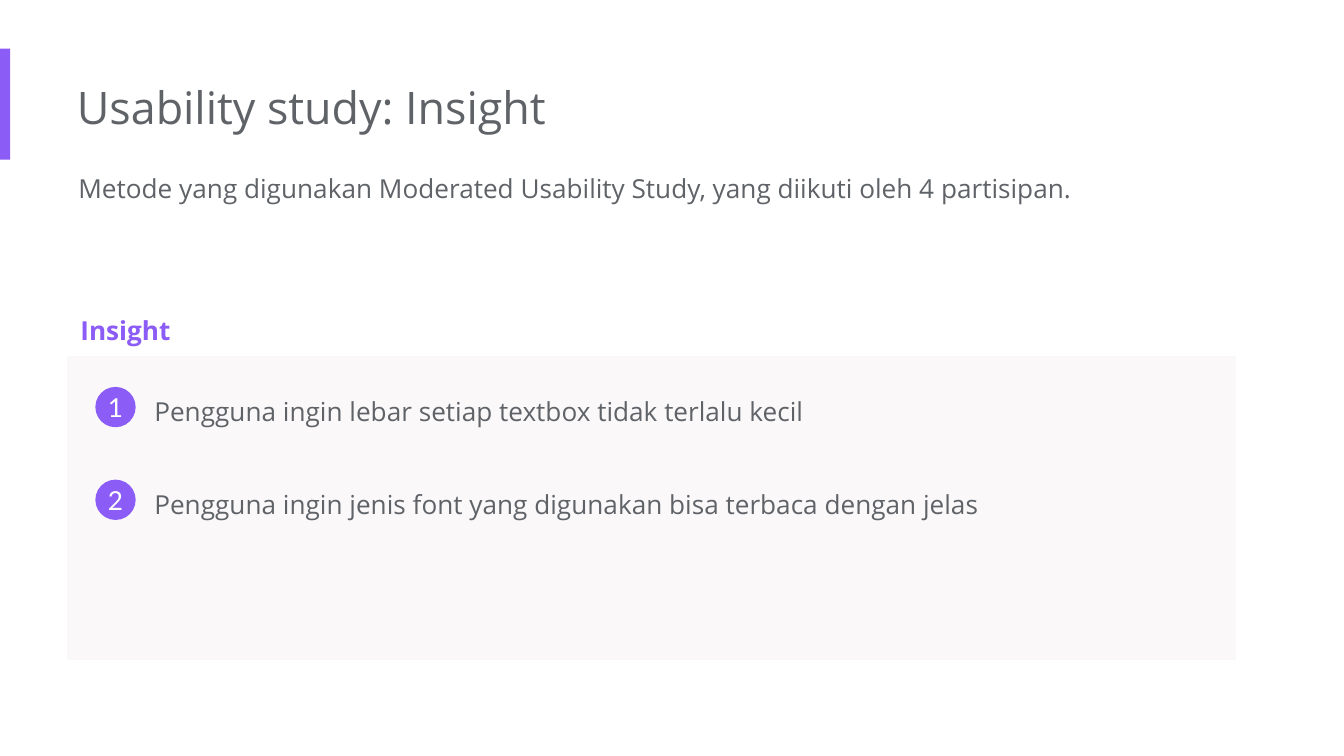
import pptx
import pptx.util
import pptx.dml.color
import pptx.enum.shapes
import pptx.enum.text

Pt = pptx.util.Pt
Kind = pptx.enum.shapes.MSO_SHAPE
VIOLET, GREY, PALE, WHITE = "8B5CF6", "5F6368", "FAF8F9", "FFFFFF"


def paint(fill, color):
    fill.solid()
    fill.fore_color.rgb = pptx.dml.color.RGBColor.from_string(color)


def write(shape, text, size, color, font="Open Sans", bold=False, pad=7.2, left=7.2):
    """Put one styled run in the shape; pad is the inset on the other sides."""
    frame = shape.text_frame
    frame.word_wrap = True
    frame.margin_left = Pt(left)
    frame.margin_top = frame.margin_right = frame.margin_bottom = Pt(pad)
    para = frame.paragraphs[0]
    run = para.add_run()
    run.text = text
    run.font.name = font
    run.font.size = Pt(size)
    run.font.bold = bold
    paint(run.font.fill, color)
    return para


deck = pptx.Presentation()
deck.slide_width, deck.slide_height = Pt(720), Pt(405)
slide = deck.slides.add_slide(deck.slide_layouts[6])
paint(slide.background.fill, WHITE)
shapes = slide.shapes

# Accent bar and insight panel
for left, top, width, height, color in [
    (0, 26, 5.5, 59.5, VIOLET),
    (36, 190.8, 626, 162.7, PALE),
]:
    block = shapes.add_shape(Kind.RECTANGLE, Pt(left), Pt(top), Pt(width), Pt(height))
    block.shadow.inherit = False
    paint(block.fill, color)
    block.line.fill.background()

# Heading, method and label
title = shapes.add_textbox(Pt(41.2), Pt(35.3), Pt(484.5), Pt(44))
write(title, "Usability study: Insight", 24, GREY, left=0)

method = shapes.add_textbox(Pt(42), Pt(82.8), Pt(620), Pt(53.3))
write(
    method,
    "Metode yang digunakan Moderated Usability Study, yang diikuti oleh 4 partisipan.",
    14, GREY, left=0,
).line_spacing = 1.15

label = shapes.add_textbox(Pt(36), Pt(159), Pt(263), Pt(31.7))
write(label, "Insight", 14, VIOLET, bold=True).line_spacing = 1.15

# Numbered insights
notes = [
    "Pengguna ingin lebar setiap textbox tidak terlalu kecil",
    "Pengguna ingin jenis font yang digunakan bisa terbaca dengan jelas",
]
for index, note in enumerate(notes):
    top = 202.3 + index * 49.7
    box = shapes.add_textbox(Pt(75.6), Pt(top), Pt(579), Pt(33.8))
    write(box, note, 14, GREY).line_spacing = 1.15

    badge = shapes.add_shape(Kind.OVAL, Pt(51.1), Pt(top + 5), Pt(21.6), Pt(21.6))
    badge.shadow.inherit = False
    paint(badge.fill, VIOLET)
    badge.line.fill.background()
    para = write(badge, str(index + 1), 14, WHITE, font="Lato", pad=0, left=0)
    para.alignment = pptx.enum.text.PP_ALIGN.CENTER
    badge.text_frame.vertical_anchor = pptx.enum.text.MSO_ANCHOR.MIDDLE

deck.save("out.pptx")
